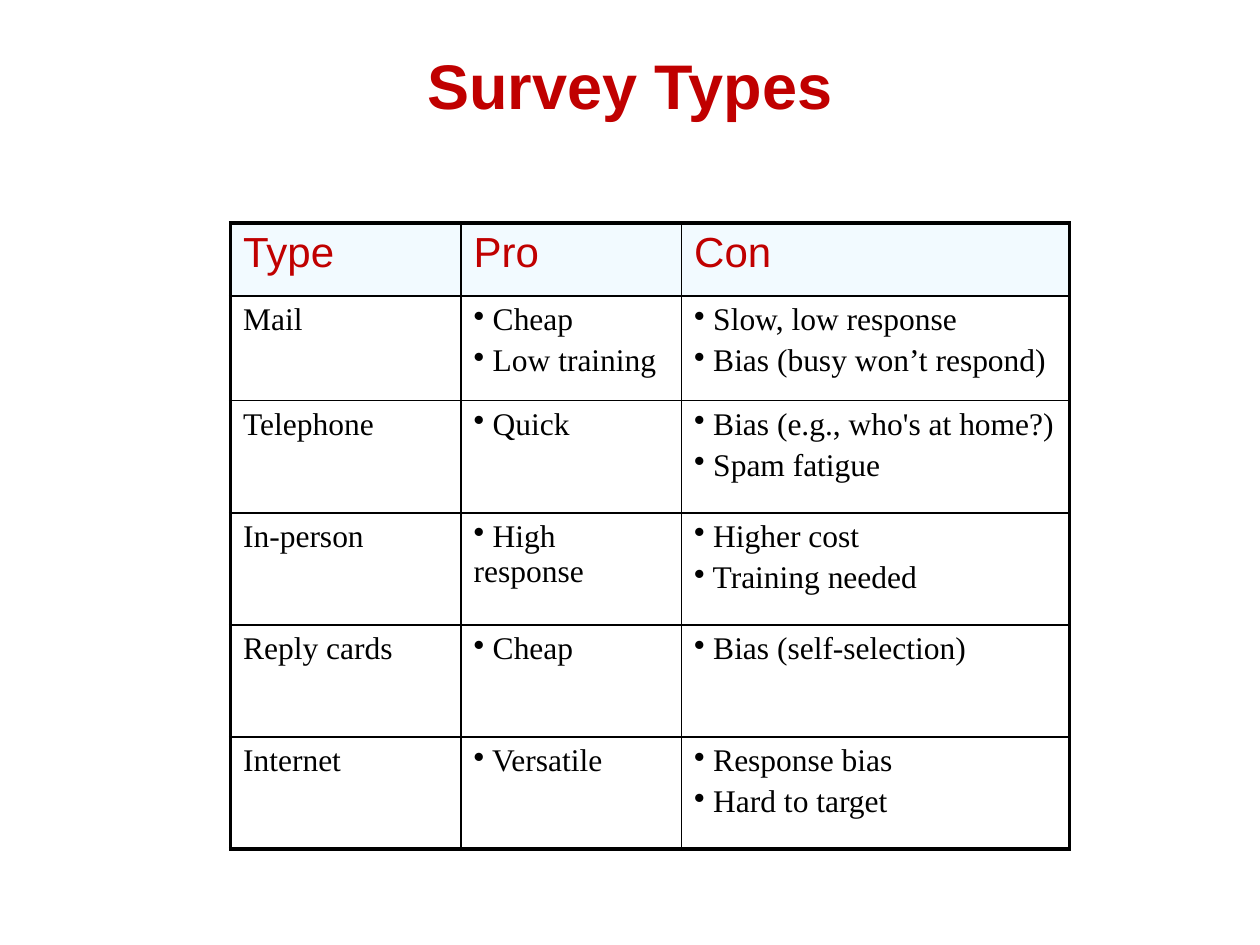
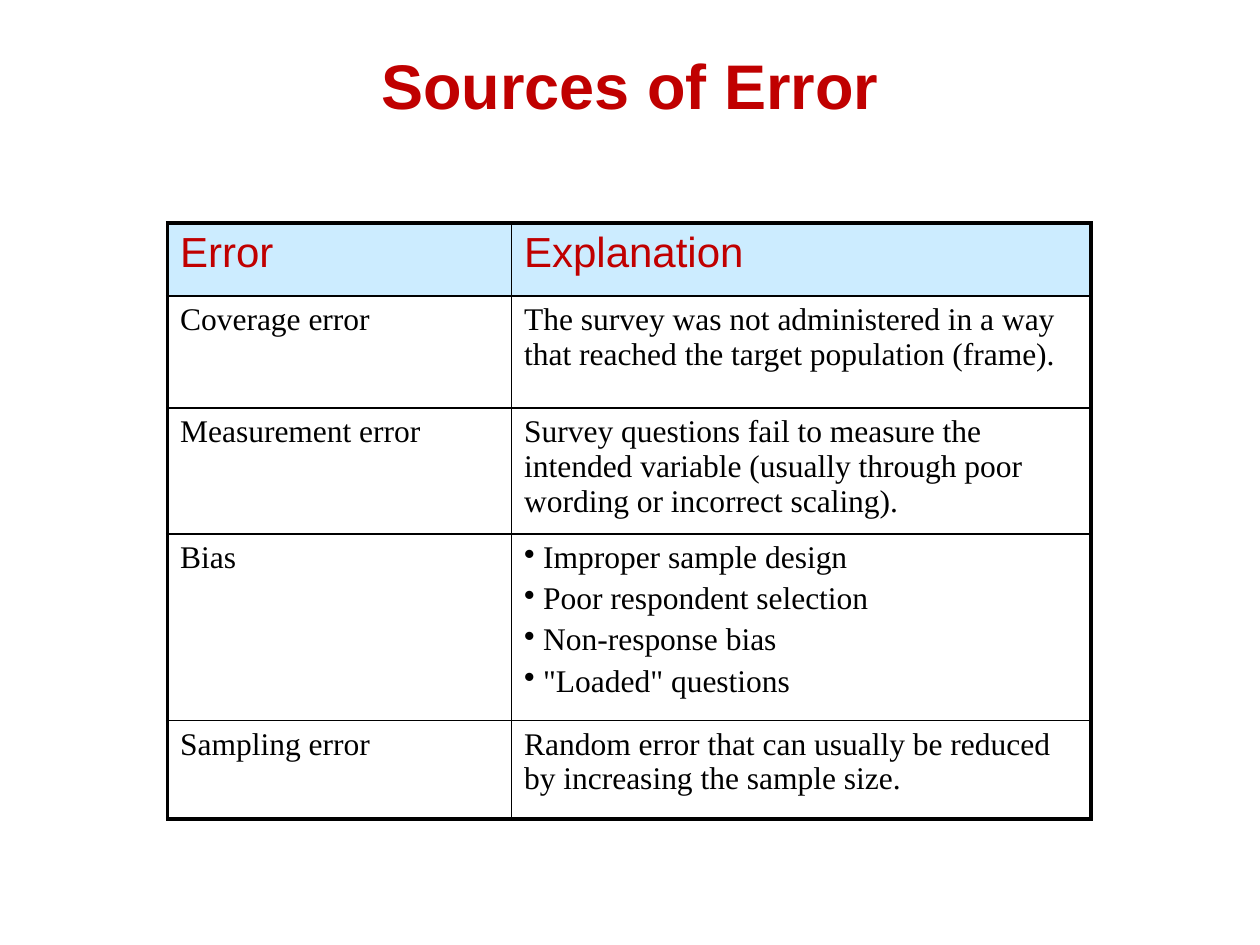
from dataclasses import dataclass

from lxml import etree
from pptx import Presentation
from pptx import util as u
from pptx.dml.color import RGBColor
from pptx.enum import text
from pptx.oxml import ns

# Shared scale and style
PX = u.Inches(1) // 100  # 100 px to the inch
SLIDE_WIDTH, SLIDE_HEIGHT = 1000, 750
TITLE_TOP, TITLE_HEIGHT = 25, 84
TABLE_TOP = 177
HEADER_HEIGHT = 58

RED = RGBColor(0xC0, 0x00, 0x00)
BLACK = RGBColor(0x00, 0x00, 0x00)
PALE_BLUE = RGBColor(0xCC, 0xEC, 0xFF)

HEADING_FONT, BODY_FONT = "Arial", "Times New Roman"
OUTER_LINE, INNER_LINE = u.Pt(2.25), u.Pt(1)
ITEM_GAP = u.Pt(3.6)


@dataclass(frozen=True)
class Bullets:
    items: tuple[str, ...]


@dataclass(frozen=True)
class Row:
    height: int
    entries: tuple[str | Bullets, ...]


@dataclass(frozen=True)
class TableSlide:
    title: str
    left: int
    widths: tuple[int, ...]
    headings: tuple[str, ...]
    header_opacity: int  # percent
    rows: tuple[Row, ...]


def bullets(*items: str) -> Bullets:
    return Bullets(items)


# Slide content
SURVEY_TYPES = TableSlide(
    "Survey Types", 183, (183, 175, 308), ("Type", "Pro", "Con"), 25,
    (
        Row(83, ("Mail", bullets("Cheap", "Low training"),
                 bullets("Slow, low response", "Bias (busy won’t respond)"))),
        Row(89, ("Telephone", bullets("Quick"),
                 bullets("Bias (e.g., who's at home?)", "Spam fatigue"))),
        Row(89, ("In-person", bullets("High response"),
                 bullets("Higher cost", "Training needed"))),
        Row(89, ("Reply cards", bullets("Cheap"), bullets("Bias (self-selection)"))),
        Row(89, ("Internet", bullets("Versatile"),
                 bullets("Response bias", "Hard to target"))),
    ),
)

SOURCES_OF_ERROR = TableSlide(
    "Sources of Error", 133, (273, 460), ("Error", "Explanation"), 100,
    (
        Row(89, ("Coverage error",
                 "The survey was not administered in a way that reached "
                 "the target population (frame).")),
        Row(100, ("Measurement error",
                  "Survey questions fail to measure the intended variable "
                  "(usually through poor wording or incorrect scaling).")),
        Row(148, ("Bias", bullets("Improper sample design", "Poor respondent selection",
                                  "Non-response bias", '"Loaded" questions'))),
        Row(78, ("Sampling error",
                 "Random error that can usually be reduced by increasing "
                 "the sample size.")),
    ),
)


# Text
def style_runs(paragraph, font: str, size: int, color: RGBColor, bold: bool = False) -> None:
    for run in paragraph.runs:
        run.font.name = font
        run.font.size = u.Pt(size)
        run.font.color.rgb = color
        run.font.bold = bold


def add_bullet(paragraph) -> None:
    """Put the bullet inline, so wrapped lines start below it."""
    properties = paragraph._p.get_or_add_pPr()
    properties.set("marL", "0")
    properties.set("indent", "0")
    etree.SubElement(properties, ns.qn("a:buChar")).set("char", "•")


def fill_entry(cell, entry: str | Bullets) -> None:
    bulleted = isinstance(entry, Bullets)
    lines = [f" {item}" for item in entry.items] if bulleted else [entry]
    cell.text_frame.text = "\n".join(lines)
    for index, paragraph in enumerate(cell.text_frame.paragraphs):
        if index:
            paragraph.space_before = ITEM_GAP
        if bulleted:
            add_bullet(paragraph)
        style_runs(paragraph, BODY_FONT, 18, BLACK)


# Cell borders and header fill
def set_borders(cell, row: int, column: int, last_row: int, last_column: int) -> None:
    properties = cell._tc.get_or_add_tcPr()
    on_edge = {"lnL": column == 0, "lnR": column == last_column,
               "lnT": row == 0, "lnB": row == last_row}
    for side, outer in on_edge.items():
        line = etree.SubElement(properties, ns.qn(f"a:{side}"))
        line.set("w", str(int(OUTER_LINE if outer else INNER_LINE)))
        solid = etree.SubElement(line, ns.qn("a:solidFill"))
        etree.SubElement(solid, ns.qn("a:srgbClr")).set("val", str(BLACK))


def fill_header(cell, opacity: int) -> None:
    cell.fill.solid()
    cell.fill.fore_color.rgb = PALE_BLUE
    if opacity < 100:
        color = cell._tc.tcPr.find(f"{ns.qn('a:solidFill')}/{ns.qn('a:srgbClr')}")
        etree.SubElement(color, ns.qn("a:alpha")).set("val", str(opacity * 1000))


# Slide parts
def add_title(slide, wording: str) -> None:
    title = slide.shapes.title
    title.left, title.top = 0, TITLE_TOP * PX
    title.width, title.height = SLIDE_WIDTH * PX, TITLE_HEIGHT * PX
    title.text_frame.text = wording
    title.text_frame.vertical_anchor = text.MSO_ANCHOR.MIDDLE
    heading = title.text_frame.paragraphs[0]
    heading.alignment = text.PP_ALIGN.CENTER
    style_runs(heading, HEADING_FONT, 36, RED, bold=True)


def add_grid(slide, content: TableSlide) -> None:
    rows = (Row(HEADER_HEIGHT, content.headings), *content.rows)
    grid = slide.shapes.add_table(
        len(rows), len(content.widths), content.left * PX, TABLE_TOP * PX,
        sum(content.widths) * PX, sum(row.height for row in rows) * PX).table
    grid.first_row = grid.horz_banding = False
    for column, width in zip(grid.columns, content.widths):
        column.width = width * PX

    for r, row in enumerate(rows):
        grid.rows[r].height = row.height * PX
        for c, entry in enumerate(row.entries):
            cell = grid.cell(r, c)
            set_borders(cell, r, c, len(rows) - 1, len(content.widths) - 1)
            if r == 0:
                fill_header(cell, content.header_opacity)
                cell.text_frame.text = entry
                style_runs(cell.text_frame.paragraphs[0], HEADING_FONT, 24, RED)
            else:
                cell.fill.background()
                fill_entry(cell, entry)


def main() -> None:
    deck = Presentation()
    deck.slide_width, deck.slide_height = SLIDE_WIDTH * PX, SLIDE_HEIGHT * PX
    title_only = deck.slide_layouts.get_by_name("Title Only")
    for content in (SURVEY_TYPES, SOURCES_OF_ERROR):
        slide = deck.slides.add_slide(title_only)
        add_title(slide, content.title)
        add_grid(slide, content)
    deck.save("out.pptx")


if __name__ == "__main__":
    main()
